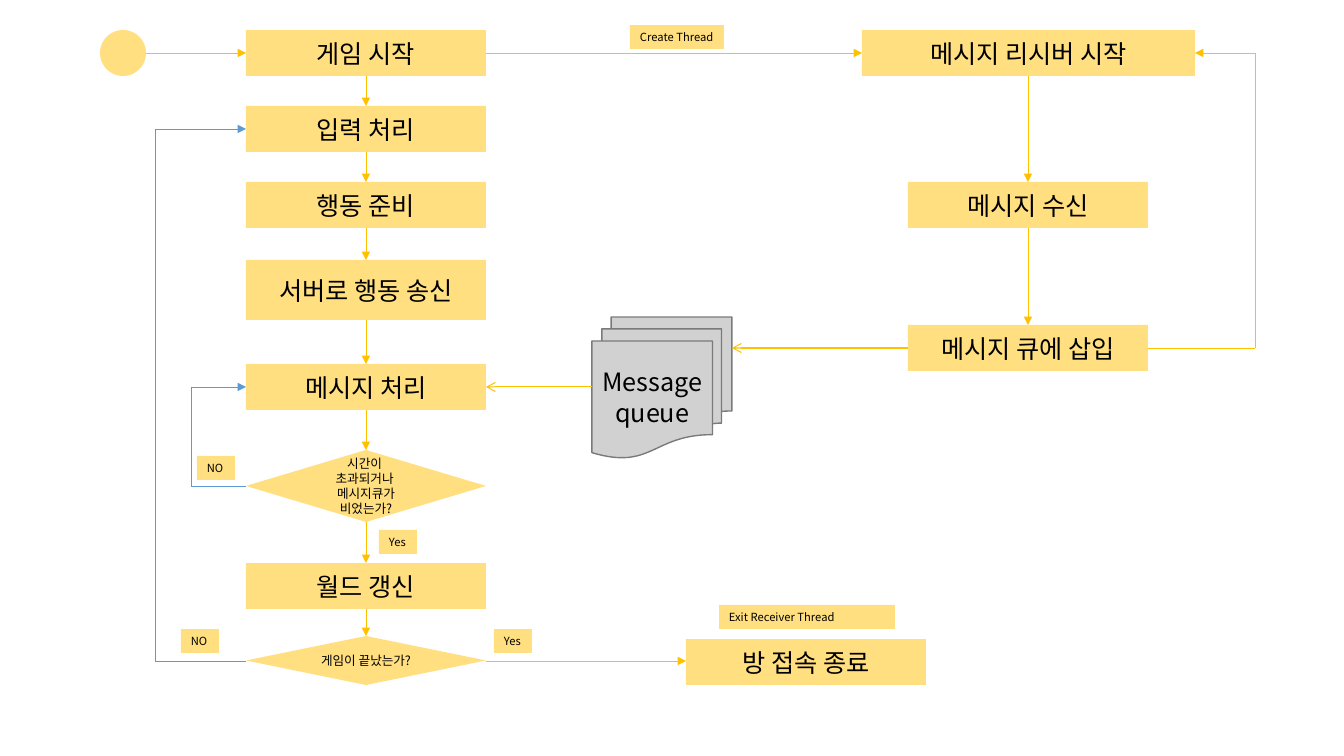
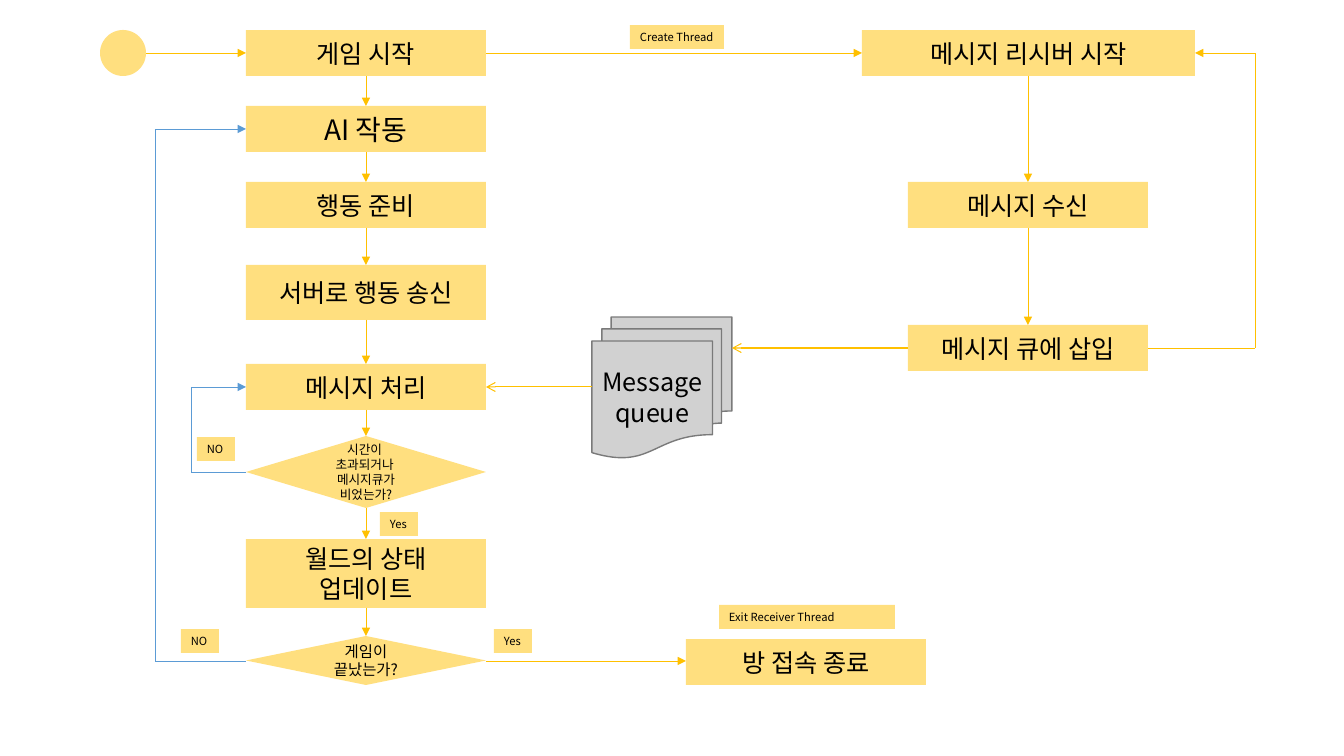
from itertools import pairwise

from pptx import Presentation
from pptx.dml.color import RGBColor
from pptx.enum.shapes import MSO_CONNECTOR, MSO_SHAPE as SHAPE
from pptx.enum.text import MSO_ANCHOR, MSO_AUTO_SIZE, PP_ALIGN
from pptx.oxml.ns import qn
from pptx.oxml.xmlchemy import OxmlElement
from pptx.util import Pt

PIXEL = 914400 / 100.8
FONT = "Noto Sans CJK KR"
AMBER = RGBColor(0xFF, 0xC0, 0x00)
BLUE = RGBColor(0x5B, 0x9B, 0xD5)
GRAY = RGBColor(0xA5, 0xA5, 0xA5)
DARK_GRAY = RGBColor(0x7A, 0x7A, 0x7A)
BLACK = RGBColor(0x00, 0x00, 0x00)

LEFT, WIDTH, HEIGHT = 246, 240, 46  # main column and standard box
RIGHT, CENTER = LEFT + WIDTH, LEFT + WIDTH / 2
RECEIVER_LEFT = 908
RECEIVER_CENTER = RECEIVER_LEFT + WIDTH / 2
RECEIVER_RIGHT = RECEIVER_LEFT + WIDTH
LABEL_HEIGHT = 24
START_Y, INPUT_Y, MESSAGE_Y, INSERT_Y, END_Y = 53, 129, 387, 348, 661


def add_node(slide, kind, box, text="", size=18, align=PP_ALIGN.CENTER):
    """Add a half-transparent amber shape; box is left, top, width, height."""
    shape = slide.shapes.add_shape(kind, *(round(value * PIXEL) for value in box))
    shape.shadow.inherit = False
    shape.fill.solid()
    shape.fill.fore_color.rgb = AMBER
    alpha = OxmlElement("a:alpha")
    alpha.set("val", "50000")
    shape._element.spPr.find(qn("a:solidFill"))[0].append(alpha)
    shape.line.fill.background()
    shape.text_frame.text = text
    for paragraph in shape.text_frame.paragraphs:
        paragraph.alignment = align
        for run in paragraph.runs:
            run.font.size = Pt(size)
            run.font.name = FONT
            run.font.color.rgb = BLACK
            east_asian = OxmlElement("a:ea")
            east_asian.set("typeface", FONT)
            run.font._element.find(qn("a:latin")).addnext(east_asian)
    return shape


def add_route(slide, points, color=AMBER, head="triangle", width=0.5):
    """Join the points with straight lines, with an arrowhead on the last."""
    for start, end in pairwise(points):
        ends = (round(value * PIXEL) for value in (*start, *end))
        connector = slide.shapes.add_connector(MSO_CONNECTOR.STRAIGHT, *ends)
        connector.line.color.rgb = color
        connector.line.width = Pt(width)
        properties = connector._element.spPr
        properties.append(OxmlElement("a:effectLst"))
    tail = OxmlElement("a:tailEnd")
    tail.set("type", head)
    properties.find(qn("a:ln")).append(tail)


# What differs between the player client and the AI client
CLIENTS = [
    dict(input=("입력 처리", 18), send_top=260, check_top=450,
         update=("월드 갱신", 563, 46), finish=("게임이 끝났는가?", 9),
         no_top=456, yes_at=(379, 530)),
    dict(input=("AI 작동", 20), send_top=265, check_top=436,
         update=("월드의 상태\n업데이트", 539, 69), finish=("게임이\n끝났는가?", 11),
         no_top=437, yes_at=(380, 512)),
]
CHECK_TEXT = "시간이 \n초과되거나 \n메시지큐가\n비었는가?"

presentation = Presentation()
presentation.slide_width = round(1344 * PIXEL)
presentation.slide_height = round(756 * PIXEL)

for client in CLIENTS:
    slide = presentation.slides.add_slide(presentation.slide_layouts[6])
    send_top, check_top = client["send_top"], client["check_top"]
    update_text, update_top, update_height = client["update"]

    # Main game loop
    steps = [
        (SHAPE.RECTANGLE, 30, HEIGHT, "게임 시작", 18),
        (SHAPE.RECTANGLE, 106, HEIGHT, *client["input"]),
        (SHAPE.RECTANGLE, 182, HEIGHT, "행동 준비", 18),
        (SHAPE.RECTANGLE, send_top, 320 - send_top, "서버로 행동 송신", 18),
        (SHAPE.RECTANGLE, 364, HEIGHT, "메시지 처리", 18),
        (SHAPE.FLOWCHART_DECISION, check_top, 72, CHECK_TEXT, 9),
        (SHAPE.RECTANGLE, update_top, update_height, update_text, 18),
        (SHAPE.FLOWCHART_DECISION, 636, 49, *client["finish"]),
    ]
    for kind, top, height, text, size in steps:
        add_node(slide, kind, (LEFT, top, WIDTH, height), text, size)
    for upper, lower in pairwise(steps):
        add_route(slide, [(CENTER, upper[1] + upper[2]), (CENTER, lower[1])])

    # Start point, receiver thread and exit
    add_node(slide, SHAPE.FLOWCHART_CONNECTOR, (100, 30, HEIGHT, HEIGHT))
    for left, top, width, text in [
        (862, 30, 333, "메시지 리시버 시작"),
        (RECEIVER_LEFT, 182, WIDTH, "메시지 수신"),
        (RECEIVER_LEFT, 325, WIDTH, "메시지 큐에 삽입"),
        (686, 639, WIDTH, "방 접속 종료"),
    ]:
        add_node(slide, SHAPE.RECTANGLE, (left, top, width, HEIGHT), text)

    queue = add_node(slide, SHAPE.FLOWCHART_MULTIDOCUMENT, (592, 317, 140, 141),
                     "Message queue")
    queue.fill.solid()
    queue.fill.fore_color.rgb = GRAY
    queue.line.color.rgb = DARK_GRAY
    queue.line.width = Pt(1)

    for points in [
        [(146, START_Y), (LEFT, START_Y)],
        [(RIGHT, START_Y), (862, START_Y)],
        [(RECEIVER_CENTER, 76), (RECEIVER_CENTER, 182)],
        [(RECEIVER_CENTER, 228), (RECEIVER_CENTER, 325)],
        [(RECEIVER_RIGHT, INSERT_Y), (1255, INSERT_Y), (1255, START_Y), (1195, START_Y)],
        [(RIGHT, END_Y), (686, END_Y)],
    ]:
        add_route(slide, points)
    for start, end, y in [(592, RIGHT, MESSAGE_Y), (RECEIVER_LEFT, 732, INSERT_Y)]:
        add_route(slide, [(start, y), (end, y)], head="arrow", width=0.75)
    for x, start_y, end_y in [(191, check_top + 36, MESSAGE_Y), (155, END_Y, INPUT_Y)]:
        add_route(slide, [(LEFT, start_y), (x, start_y), (x, end_y), (LEFT, end_y)], BLUE)

    # Branch and thread labels
    for left, top, width, text, wrap in [
        (630, 25, 94, "Create Thread", True),
        (719, 605, 176, "Exit Receiver Thread", True),
        (197, client["no_top"], 38, "NO", False),
        (181, 629, 38, "NO", False),
        (*client["yes_at"], 38, "Yes", False),
        (494, 629, 38, "Yes", False),
    ]:
        label = add_node(slide, SHAPE.RECTANGLE, (left, top, width, LABEL_HEIGHT),
                         text, 8, PP_ALIGN.LEFT)
        label.text_frame.vertical_anchor = MSO_ANCHOR.TOP
        label.text_frame.word_wrap = wrap
        label.text_frame.auto_size = MSO_AUTO_SIZE.SHAPE_TO_FIT_TEXT

presentation.save("out.pptx")
